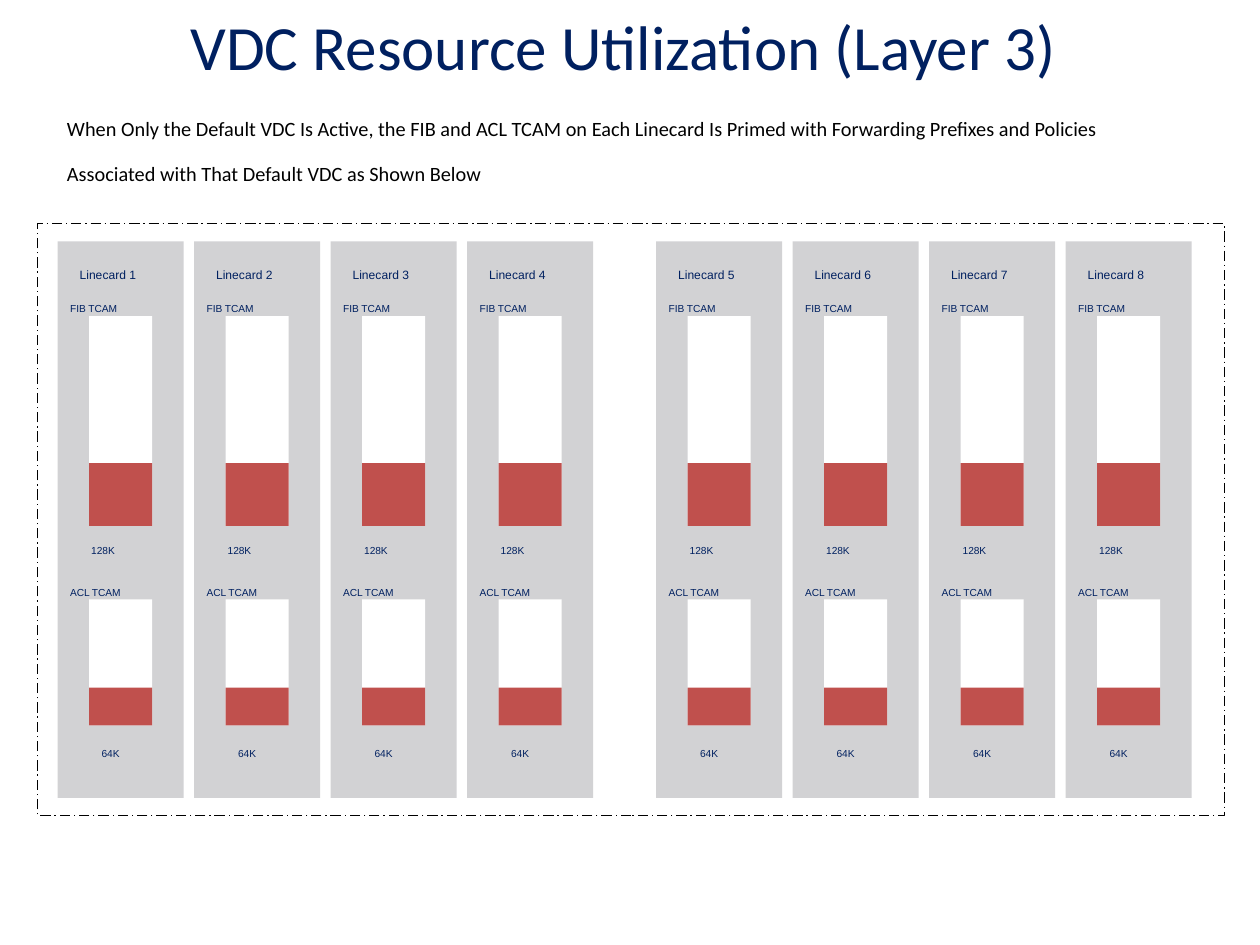
import pptx
import pptx.dml.color
import pptx.enum.dml
import pptx.enum.shapes
import pptx.enum.text
import pptx.oxml.ns
import pptx.util
from lxml import etree

PX = 914400 // 120
NAVY = pptx.dml.color.RGBColor(0x00, 0x20, 0x60)
BLACK = pptx.dml.color.RGBColor(0x00, 0x00, 0x00)
WHITE = pptx.dml.color.RGBColor(0xFF, 0xFF, 0xFF)
CARD_GREY = pptx.dml.color.RGBColor(0xD2, 0xD2, 0xD4)
USED_RED = pptx.dml.color.RGBColor(0xC0, 0x50, 0x4D)

CARD_PITCH = 130
CARDS_PER_GROUP = 4
GROUP_PITCH = 570


def emu(*lengths):
    return [pptx.util.Emu(length * PX) for length in lengths]


def add_rect(slide, box, fill=None):
    rect = slide.shapes.add_shape(pptx.enum.shapes.MSO_SHAPE.RECTANGLE, *emu(*box))
    rect.shadow.inherit = False
    rect.line.fill.background()
    if fill is None:
        rect.fill.background()
    else:
        rect.fill.solid()
        rect.fill.fore_color.rgb = fill
    return rect


def add_run(paragraph, wording, size, font, color):
    run = paragraph.add_run()
    run.text = wording
    run.font.size = pptx.util.Pt(size)
    run.font.name = font
    run.font.color.rgb = color
    return run


def add_lowered_text(slide, box, wording, size, font="Arial", color=NAVY, wrap=True):
    frame = slide.shapes.add_textbox(*emu(*box)).text_frame
    frame.word_wrap = wrap
    frame.auto_size = pptx.enum.text.MSO_AUTO_SIZE.SHAPE_TO_FIT_TEXT
    paragraph = frame.paragraphs[0]
    run = add_run(paragraph, wording, size, font, color)
    run.font._element.set("baseline", "-25000")
    return paragraph


def add_title(slide, box):
    title = slide.shapes.title
    title.left, title.top, title.width, title.height = emu(*box)
    frame = title.text_frame
    frame.auto_size = pptx.enum.text.MSO_AUTO_SIZE.NONE
    frame.vertical_anchor = pptx.enum.text.MSO_ANCHOR.MIDDLE
    paragraph = frame.paragraphs[0]
    paragraph.alignment = pptx.enum.text.PP_ALIGN.CENTER
    add_run(paragraph, "VDC Resource Utilization (Layer 3)", 36, "Calibri", NAVY)


def add_summary(slide, box):
    paragraph = add_lowered_text(
        slide, box,
        "When Only the Default VDC Is Active, the FIB and ACL TCAM on Each Linecard "
        "Is Primed with Forwarding Prefixes and Policies Associated with That "
        "Default VDC as Shown Below",
        20, "Calibri", BLACK)
    paragraph.line_spacing = 0.95
    qn = pptx.oxml.ns.qn
    before = etree.SubElement(paragraph._p.get_or_add_pPr(), qn("a:spcBef"))
    etree.SubElement(before, qn("a:spcPct")).set("val", "50000")


def add_chassis(slide, box):
    chassis = add_rect(slide, box)
    chassis.line.color.rgb = BLACK
    chassis.line.width = pptx.util.Pt(0.75)
    chassis.line.dash_style = pptx.enum.dml.MSO_LINE.LONG_DASH_DOT
    left, top, width, height = box
    for index in range(2 * CARDS_PER_GROUP):
        group, slot = divmod(index, CARDS_PER_GROUP)
        card_left = left + 19 + group * GROUP_PITCH + slot * CARD_PITCH
        add_linecard(slide, (card_left, top + 17, 120, height - 34), index + 1)


def add_linecard(slide, box, number):
    left, top, width, height = box
    add_rect(slide, box, CARD_GREY)
    add_lowered_text(slide, (left + 9, top + 5, 118, 36), f"Linecard {number}", 12, wrap=False)
    add_tcam(slide, (left, top + 41, width, 230), "FIB TCAM", 60, "128K", (20, 0, 80))
    add_tcam(slide, (left, top + 311, width, 150), "ACL TCAM", 36, "64K", (30, 4, 60))


def add_tcam(slide, box, name, used, capacity, capacity_place):
    left, top, width, height = box
    bottom = top + height
    bar_left, bar_width = left + width // 4, width // 2
    add_rect(slide, (bar_left, top + 30, bar_width, height - 30), WHITE)
    add_rect(slide, (bar_left, bottom - used, bar_width, used), USED_RED)
    add_lowered_text(slide, (left, top, width, 32), name, 10)
    indent, drop, capacity_width = capacity_place
    add_lowered_text(slide, (left + indent, bottom + drop, capacity_width, 32), capacity, 10)


def main():
    deck = pptx.Presentation()
    deck.slide_width, deck.slide_height = emu(1200, 900)
    slide = deck.slides.add_slide(deck.slide_layouts[5])
    add_title(slide, (30, -4, 1127, 95))
    add_chassis(slide, (36, 213, 1130, 564))
    add_summary(slide, (52, 82, 1087, 127))
    deck.save("out.pptx")


if __name__ == "__main__":
    main()
